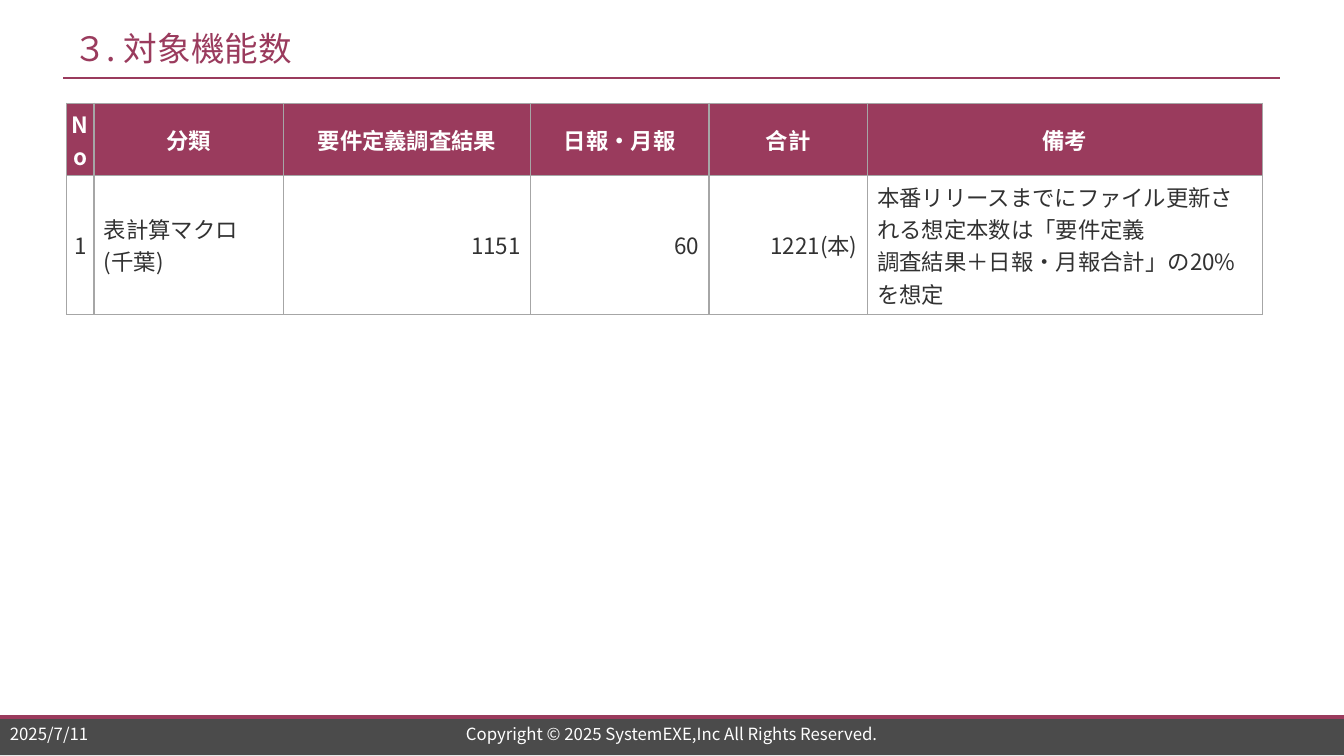
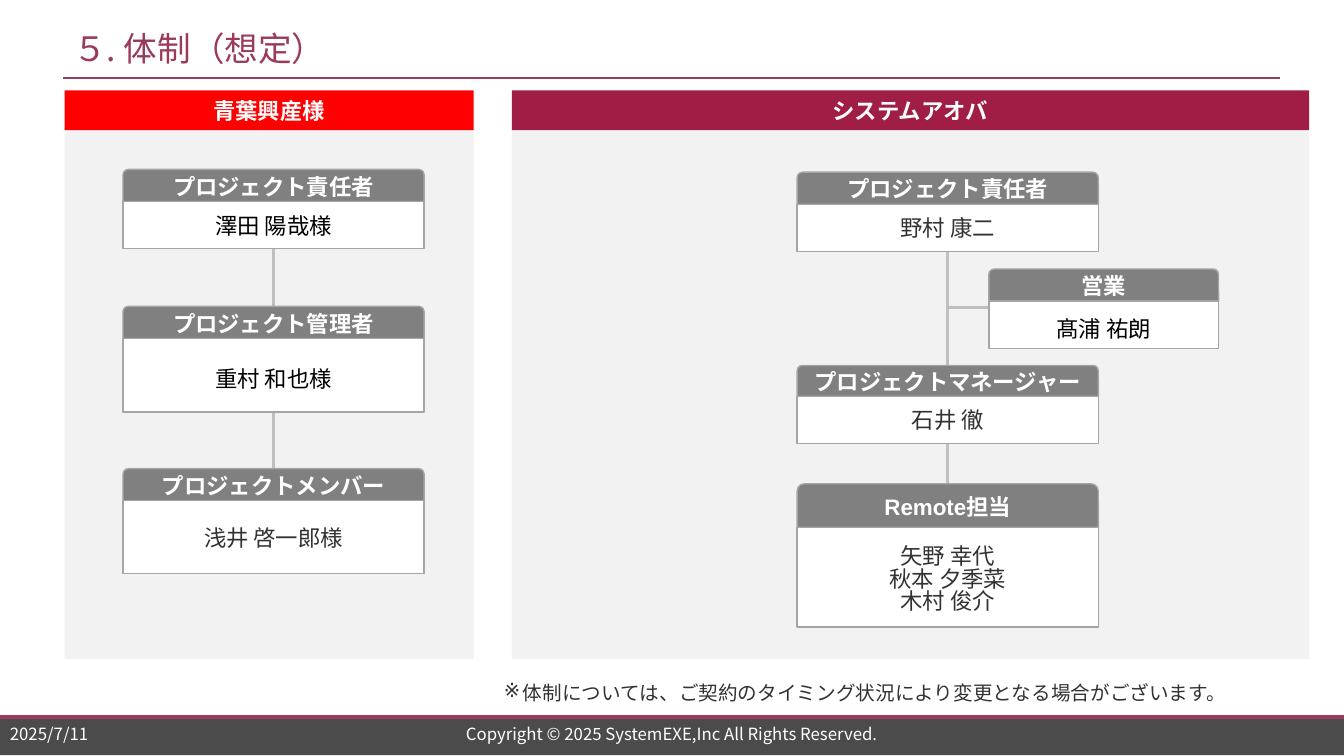
from lxml.etree import SubElement
from pptx import Presentation
from pptx.dml.color import RGBColor
from pptx.enum.shapes import MSO_CONNECTOR as LINK, MSO_SHAPE as KIND
from pptx.enum.text import MSO_ANCHOR as ANCHOR, PP_ALIGN as ALIGN
from pptx.oxml import parse_xml
from pptx.oxml.ns import nsdecls, qn
from pptx.util import Cm, Pt

rgb = RGBColor.from_string
WINE, DARK, INK, WHITE, BLACK = "9A3B5D", "4B4B4B", "323232", "FFFFFF", "000000"
GREY, EDGE, LINE, PALE, GRID = "808080", "A5A5A5", "BFBFBF", "F2F2F2", "A6A6A6"
NOTO, ARIAL, CALIBRI = "Noto Sans CJK JP", "Arial", "Calibri"
LEFT, MID, RIGHT = ALIGN.LEFT, ALIGN.CENTER, ALIGN.RIGHT


def write(item, text, host=None, size=16, font=NOTO, color=INK, bold=False,
          align=LEFT, anchor=ANCHOR.MIDDLE, side=0.25, top=0.13, low=0.13,
          space=None, mark=None):
    """Fill a shape or cell with text; host holds the margins of a cell."""
    frame = item.text_frame
    frame.word_wrap = True
    host = host or frame
    host.vertical_anchor = anchor
    host.margin_left = host.margin_right = Cm(side)
    host.margin_top, host.margin_bottom = Cm(top), Cm(low)
    frame.text = text
    for para in frame.paragraphs:
        para.alignment = align
        if space:
            para.line_spacing = space
        if mark:
            props = para._p.get_or_add_pPr()
            props.set("marL", str(Cm(0.48)))
            props.set("indent", str(-Cm(0.48)))
            SubElement(props, qn("a:buChar")).set("char", mark)
        for run in para.runs:
            run.font.size, run.font.bold = Pt(size), bold
            run.font.color.rgb = rgb(color)
            run.font.name = font
            SubElement(run._r.get_or_add_rPr(), qn("a:ea")).set("typeface", NOTO)


def block(slide, x, y, w, h, fill, edge=None, kind=KIND.RECTANGLE):
    """Add a filled shape, with an outline when edge is given."""
    shape = slide.shapes.add_shape(kind, Cm(x), Cm(y), Cm(w), Cm(h))
    shape.shadow.inherit = False
    shape.fill.solid()
    shape.fill.fore_color.rgb = rgb(fill)
    if edge:
        shape.line.color.rgb = rgb(edge)
        shape.line.width = Pt(1)
    else:
        shape.line.fill.background()
    return shape


deck = Presentation()
deck.slide_width, deck.slide_height = Cm(33.87), Cm(19.05)
count, team = [deck.slides.add_slide(deck.slide_layouts[6]) for _ in range(2)]

# Shared title and footer
rules = []
for slide, title in (count, "３. 対象機能数"), (team, "５. 体制（想定）"):
    block(slide, 0, 18.03, 33.87, 1, DARK)
    rules += [(slide, 0, 18.06, 33.87, 18.06, WINE, 2.75),
              (slide, 1.6, 1.97, 32.26, 1.97, WINE, 1.5)]
    for text, x, y, w, h, look in (
        (title, 1.6, 0.51, 30.66, 1.4, dict(size=24, color=WINE)),
        ("2025/7/11", 0, 18.2, 4, 0.6, dict(size=12, color=WHITE)),
        ("Copyright © 2025 SystemEXE,Inc All Rights Reserved.",
         8.43, 18.2, 17, 0.6, dict(size=12, color=WHITE, align=MID)),
    ):
        write(slide.shapes.add_textbox(Cm(x), Cm(y), Cm(w), Cm(h)), text, **look)

# Function count table
rows = [
    ["No", "分類", "要件定義調査結果", "日報・月報", "合計", "備考"],
    ["1", "表計算マクロ\n(千葉)", "1151", "60", "1221(本)",
     "本番リリースまでにファイル更新される想定本数は「要件定義\n"
     "調査結果＋日報・月報合計」の20%を想定"],
]
wide, high = [0.69, 4.78, 6.22, 4.5, 3.99, 9.96], [1.82, 3.5]
aligns = [MID, LEFT, RIGHT, RIGHT, RIGHT, LEFT]
grid = count.shapes.add_table(2, 6, Cm(1.68), Cm(2.6), Cm(sum(wide)), Cm(sum(high))).table
grid.horz_banding = False
for col, w in zip(grid.columns, wide):
    col.width = Cm(w)
for r, row in enumerate(rows):
    grid.rows[r].height = Cm(high[r])
    for c, text in enumerate(row):
        cell, head = grid.cell(r, c), r == 0
        tight = dict(side=0.1, top=0.1, low=0.1) if head or c == 0 else {}
        write(cell, text, host=cell, bold=head, color=WHITE if head else INK,
              align=MID if head else aligns[c], **tight)
        for tag in "lnL", "lnR", "lnT", "lnB":
            cell._tc.get_or_add_tcPr().append(parse_xml(
                f'<a:{tag} {nsdecls("a")} w="{Pt(1)}"><a:solidFill>'
                f'<a:srgbClr val="{GRID}"/></a:solidFill></a:{tag}>'))
        if head:
            cell.fill.solid()
            cell.fill.fore_color.rgb = rgb(WINE)
        else:
            cell.fill.background()

# Team panels
for name, x, w, fill in ("青葉興産様", 1.63, 10.31, "FF0000"), ("システムアオバ", 12.9, 20.09, "A01D45"):
    block(team, x, 3.25, w, 13.36, PALE)
    write(block(team, x, 2.28, w, 1, fill), name, font=ARIAL, color=WHITE,
          bold=True, align=MID)

# Lines of both slides; the cards cover the long ones
rules += [(team, 6.9, 6.27, 6.9, 11.81, LINE, 2.25),
          (team, 23.88, 6.35, 23.88, 12.19, LINE, 2.25),
          (team, 23.88, 7.75, 24.92, 7.75, LINE, 2.25)]
for slide, x1, y1, x2, y2, color, width in rules:
    link = slide.shapes.add_connector(LINK.STRAIGHT, Cm(x1), Cm(y1), Cm(x2), Cm(y2))
    link.line.color.rgb = rgb(color)
    link.line.width = Pt(width)
    SubElement(link._element.spPr, qn("a:effectLst"))

# Role cards: left, top, width, head height, body height
low = dict(side=0.2, top=0.3)
for x, y, w, head, body, role, names, look in (
    (3.1, 4.27, 7.59, 0.81, 1.19, "プロジェクト責任者", "澤田 陽哉様", dict(font=ARIAL, color=BLACK)),
    (3.1, 7.72, 7.59, 0.81, 1.85, "プロジェクト管理者", "重村 和也様",
     dict(font=ARIAL, color=BLACK, **low)),
    (3.1, 11.81, 7.59, 0.81, 1.83, "プロジェクトメンバー", "浅井 啓一郎様", dict(font=CALIBRI)),
    (20.09, 4.34, 7.59, 0.81, 1.19, "プロジェクト責任者", "野村 康二", dict(font=CALIBRI)),
    (24.92, 6.78, 5.79, 0.81, 1.19, "営業", "髙浦 祐朗", dict(font=ARIAL, color=BLACK, **low)),
    (20.09, 9.21, 7.59, 0.78, 1.19, "プロジェクトマネージャー", "石井 徹", {}),
    (20.09, 12.19, 7.59, 1.1, 2.51, "Remote担当", "矢野 幸代\n秋本 夕季菜\n木村 俊介",
     dict(space=0.83, **low)),
):
    tab = block(team, x, y, w, head, GREY, EDGE, KIND.ROUND_2_SAME_RECTANGLE)
    write(tab, role, font=ARIAL, color=WHITE, bold=True, align=MID, side=0.1)
    write(block(team, x, y + head, w, body, WHITE, EDGE), names, align=MID,
          **{"side": 0.1, **look})

# Note under the panels
note = team.shapes.add_textbox(Cm(12.45), Cm(17.04), Cm(19.81), Cm(1.12))
write(note, "体制については、ご契約のタイミング状況により変更となる場合がございます。",
      size=14, anchor=ANCHOR.TOP, mark="※")

deck.save("out.pptx")
